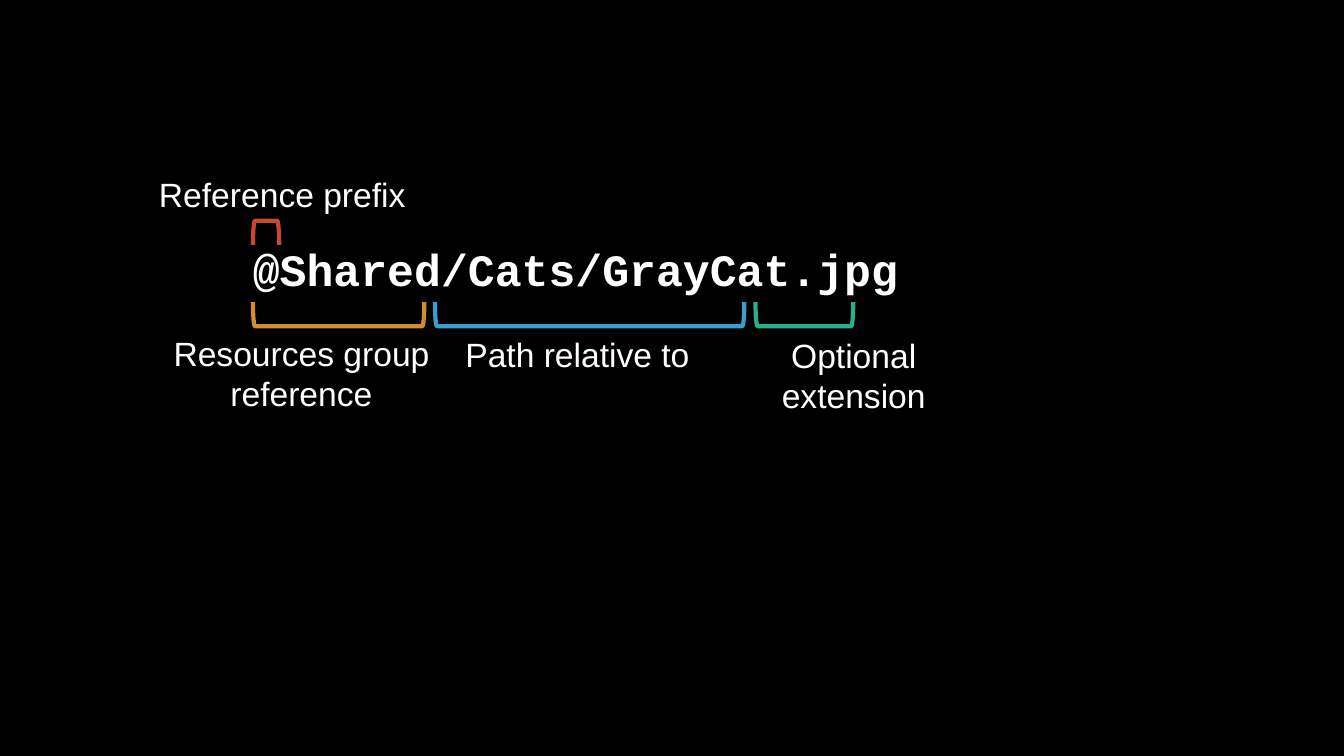
from typing import NamedTuple

from pptx import Presentation
from pptx.dml.color import RGBColor
from pptx.enum import shapes, text
from pptx.util import Pt

COLORS = {
    "background": "000000",
    "text": "FFFFFF",
    "prefix": "C9492C",
    "group": "D58C2E",
    "path": "3D9CCC",
    "extension": "29AF8C",
}
BRACKET_DEPTH = 17.3
BRACKET_TOP_ABOVE = 157.7
BRACKET_TOP_BELOW = 215.7
LABEL_WIDTH = 203
CODE_FONT = {"name": "Courier New", "size": Pt(32), "bold": True}
LABEL_FONT = {"name": "Arial", "size": Pt(24), "bold": False}


class Part(NamedTuple):
    """One part of the reference: its bracket and its label, in points."""
    color: str
    bracket_left: float
    bracket_span: float
    bracket_top: float
    rotation: int
    label: str
    label_left: float
    label_top: float
    label_height: float


PARTS = [
    Part("group", 180.7, 122.4, BRACKET_TOP_BELOW, 270,
         "Resources group\nreference", 113.8, 234, 65.5),
    Part("path", 310.7, 221, BRACKET_TOP_BELOW, 270,
         "Path relative to", 311, 234.7, 36),
    Part("prefix", 180.7, 18.7, BRACKET_TOP_ABOVE, 90,
         "Reference prefix", 100.1, 121, 36),
    Part("extension", 539.7, 69.8, BRACKET_TOP_BELOW, 270,
         "Optional extension", 508.3, 235.4, 65.5),
]


def rgb(name: str) -> RGBColor:
    return RGBColor.from_string(COLORS[name])


def add_text(slide, content: str, left: float, top: float, width: float,
             height: float, font: dict, align: text.PP_ALIGN) -> None:
    frame = slide.shapes.add_textbox(
        Pt(left), Pt(top), Pt(width), Pt(height)).text_frame
    frame.word_wrap = True
    frame.auto_size = text.MSO_AUTO_SIZE.SHAPE_TO_FIT_TEXT
    frame.text = content
    for paragraph in frame.paragraphs:
        paragraph.alignment = align
        for run in paragraph.runs:
            for attribute, value in font.items():
                setattr(run.font, attribute, value)
            run.font.color.rgb = rgb("text")


def add_bracket(slide, part: Part) -> None:
    """Turn an upright left bracket about its centre so it spans the part."""
    shift = (part.bracket_span - BRACKET_DEPTH) / 2
    bracket = slide.shapes.add_shape(
        shapes.MSO_SHAPE.LEFT_BRACKET,
        Pt(part.bracket_left + shift), Pt(part.bracket_top - shift),
        Pt(BRACKET_DEPTH), Pt(part.bracket_span))
    bracket.rotation = part.rotation
    bracket.shadow.inherit = False
    bracket.fill.background()
    bracket.line.color.rgb = rgb(part.color)
    bracket.line.width = Pt(3)


def main() -> None:
    presentation = Presentation()
    presentation.slide_width = Pt(960)
    presentation.slide_height = Pt(540)
    slide = presentation.slides.add_slide(presentation.slide_layouts[6])
    slide.background.fill.solid()
    slide.background.fill.fore_color.rgb = rgb("background")

    add_text(slide, "@Shared/Cats/GrayCat.jpg", 173.5, 169.2, 495.4, 46,
             CODE_FONT, text.PP_ALIGN.LEFT)
    for part in PARTS:
        add_bracket(slide, part)
    for part in sorted(PARTS, key=lambda item: item.label_top):
        add_text(slide, part.label, part.label_left, part.label_top,
                 LABEL_WIDTH, part.label_height, LABEL_FONT,
                 text.PP_ALIGN.CENTER)
    presentation.save("out.pptx")


if __name__ == "__main__":
    main()
